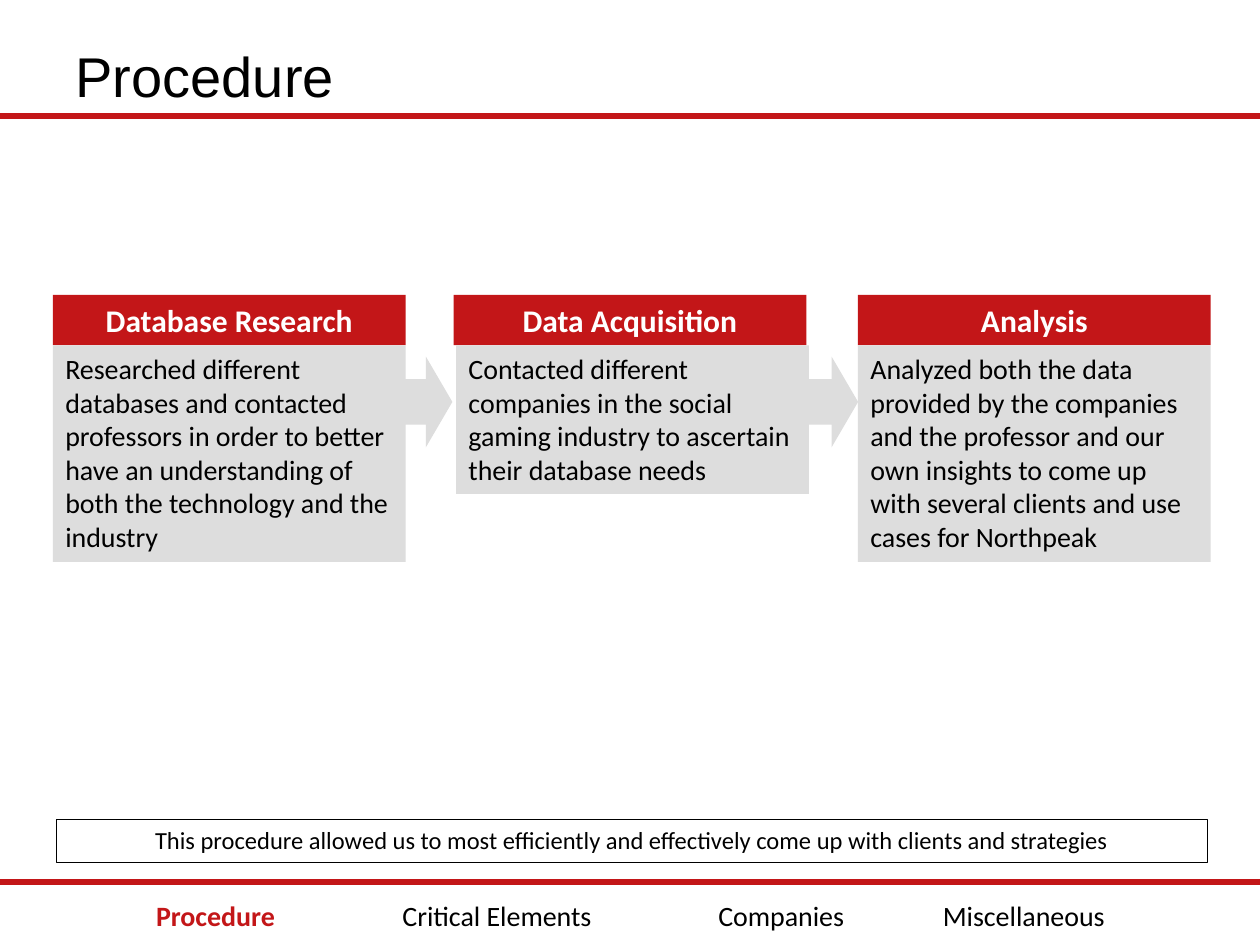
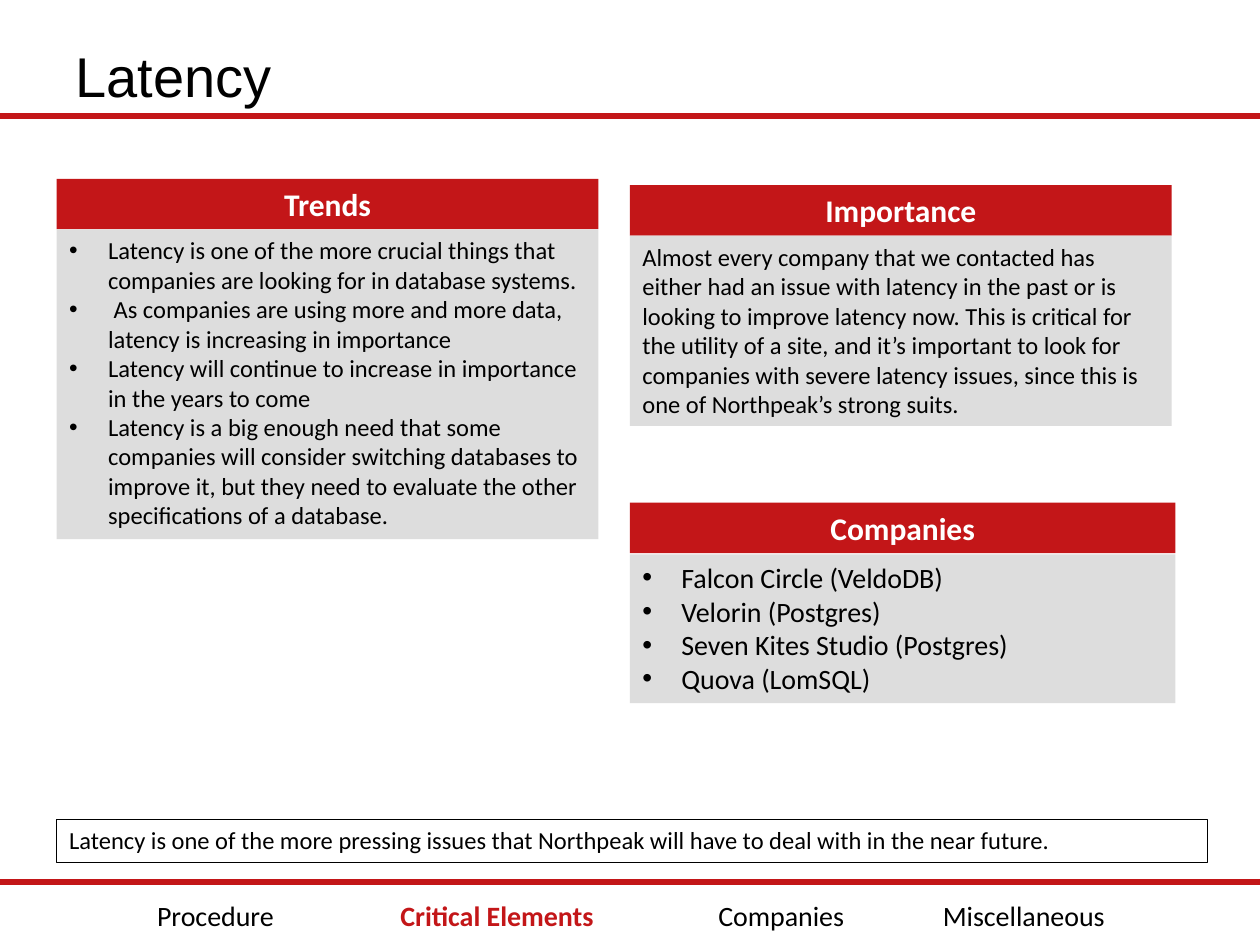
from lxml import etree
from pptx import Presentation
from pptx.dml.color import RGBColor
from pptx.enum.shapes import MSO_CONNECTOR, MSO_SHAPE
from pptx.enum.text import MSO_ANCHOR, MSO_AUTO_SIZE, PP_ALIGN
from pptx.oxml.ns import qn
from pptx.util import Inches, Pt

RED = RGBColor(0xC3, 0x16, 0x18)
GRAY = RGBColor(0xDD, 0xDD, 0xDD)
BLACK = RGBColor(0, 0, 0)
WHITE = RGBColor(0xFF, 0xFF, 0xFF)
TITLE_FONT = "Arial"
BODY_FONT = "Calibri"
HEADING_HEIGHT = 0.4
BULLET_INDENT = Inches(0.31)
RULE_TOPS = (0.92, 7)
NAVIGATION = (
    ("Procedure", 1, 1.42),
    ("Critical Elements", 2.78, 2.33),
    ("Companies", 5.49, 1.42),
    ("Miscellaneous", 7.27, 1.71),
)


def add_box(slide, lines, left, top, width, height, fill=None, line=None,
            shape=MSO_SHAPE.RECTANGLE, size=16, color=BLACK, bold=False,
            align=PP_ALIGN.LEFT, bulleted=False):
    """Add a filled or outlined shape, or a plain text box if it has neither."""
    place = [Inches(value) for value in (left, top, width, height)]
    if fill is None and line is None:
        box = slide.shapes.add_textbox(*place)
    else:
        box = slide.shapes.add_shape(shape, *place)
        box.shadow.inherit = False
        if fill is None:
            box.fill.background()
        else:
            box.fill.solid()
            box.fill.fore_color.rgb = fill
        if line is None:
            box.line.fill.background()
        else:
            box.line.color.rgb = line
            box.line.width = Pt(0.25)

    frame = box.text_frame
    frame.word_wrap = True
    frame.vertical_anchor = MSO_ANCHOR.TOP
    for index, text in enumerate(lines):
        para = frame.paragraphs[0] if index == 0 else frame.add_paragraph()
        para.alignment = align
        if bulleted:
            properties = para._p.get_or_add_pPr()
            properties.set("marL", str(BULLET_INDENT))
            properties.set("indent", str(-BULLET_INDENT))
            etree.SubElement(properties, qn("a:buFont"), typeface="Arial")
            etree.SubElement(properties, qn("a:buChar"), char="•")
        span = para.add_run()
        span.text = text
        span.font.name = BODY_FONT
        span.font.size = Pt(size)
        span.font.bold = bold
        span.font.color.rgb = color


def add_card(slide, heading, lines, left, top, width, body_height,
             shift=(0, 0), size=16, bulleted=False):
    """Add a red heading over a gray body; shift moves the body right and down."""
    add_box(slide, [heading], left, top, width, HEADING_HEIGHT, fill=RED,
            size=18, color=WHITE, bold=True, align=PP_ALIGN.CENTER)
    add_box(slide, lines, left + shift[0], top + HEADING_HEIGHT + shift[1],
            width, body_height, fill=GRAY, size=size, bulleted=bulleted)


deck = Presentation()
deck.slide_width = Inches(10)
deck.slide_height = Inches(7.5)

# Frame shared by both slides: title, rules, summary and navigation
pages = []
for heading, section, summary, summary_align in (
    ("Procedure", "Procedure",
     "This procedure allowed us to most efficiently and effectively come up "
     "with clients and strategies", PP_ALIGN.CENTER),
    ("Latency", "Critical Elements",
     "Latency is one of the more pressing issues that Northpeak will have to "
     "deal with in the near future.", PP_ALIGN.LEFT),
):
    page = deck.slides.add_slide(deck.slide_layouts[5])
    pages.append(page)

    title = page.shapes.title
    title.left, title.top = Inches(0.5), Inches(0.28)
    title.width, title.height = Inches(6.92), Inches(0.64)
    title.text_frame.text = heading
    title.text_frame.auto_size = MSO_AUTO_SIZE.NONE
    title.text_frame.vertical_anchor = MSO_ANCHOR.TOP
    para = title.text_frame.paragraphs[0]
    para.alignment = PP_ALIGN.LEFT
    para.font.name = TITLE_FONT
    para.font.size = Pt(32)
    para.font.color.rgb = BLACK

    for top in RULE_TOPS:
        rule = page.shapes.add_connector(
            MSO_CONNECTOR.STRAIGHT, 0, Inches(top), deck.slide_width, Inches(top))
        rule.line.color.rgb = RED
        rule.line.width = Pt(3)
        etree.SubElement(rule._element.spPr, qn("a:effectLst"))

    add_box(page, [summary], 0.45, 6.5, 9.13, 0.34, line=BLACK, size=14,
            align=summary_align)

    for label, left, width in NAVIGATION:
        active = label == section
        add_box(page, [label], left, 7.08, width, 0.37, bold=active,
                color=RED if active else BLACK, align=PP_ALIGN.CENTER)

procedure, latency = pages

# Procedure: three steps joined by arrows
for heading, text, left, body_height, shift in (
    ("Database Research",
     "Researched different databases and contacted professors in order to "
     "better have an understanding of both the technology and the industry",
     0.42, 1.72, (0, 0)),
    ("Data Acquisition",
     "Contacted different companies in the social gaming industry to "
     "ascertain their database needs",
     3.6, 1.18, (0.02, 0)),
    ("Analysis",
     "Analyzed both the data provided by the companies and the professor and "
     "our own insights to come up with several clients and use cases for "
     "Northpeak",
     6.81, 1.72, (0, 0)),
):
    add_card(procedure, heading, [text], left, 2.34, 2.8, body_height, shift)

for left in (3.17, 6.39):
    add_box(procedure, [], left, 2.83, 0.42, 0.72, fill=GRAY,
            shape=MSO_SHAPE.RIGHT_ARROW)

# Latency: trends on the left, importance and companies on the right
add_card(latency, "Trends", [
    "Latency is one of the more crucial things that companies are looking for "
    "in database systems.",
    " As companies are using more and more data, latency is increasing in "
    "importance",
    "Latency will continue to increase in importance in the years to come",
    "Latency is a big enough need that some companies will consider switching "
    "databases to improve it, but they need to evaluate the other "
    "specifications of a database.",
], 0.45, 1.42, 4.3, 2.46, size=14, bulleted=True)

add_card(latency, "Importance", [
    "Almost every company that we contacted has either had an issue with "
    "latency in the past or is looking to improve latency now. This is "
    "critical for the utility of a site, and it’s important to look for "
    "companies with severe latency issues, since this is one of Northpeak’s "
    "strong suits.",
], 5, 1.47, 4.3, 1.51, size=14)

add_card(latency, "Companies", [
    "Falcon Circle (VeldoDB)",
    "Velorin (Postgres)",
    "Seven Kites Studio (Postgres)",
    "Quova (LomSQL)",
], 5, 3.99, 4.33, 1.18, shift=(0, 0.01), bulleted=True)

deck.save("out.pptx")
